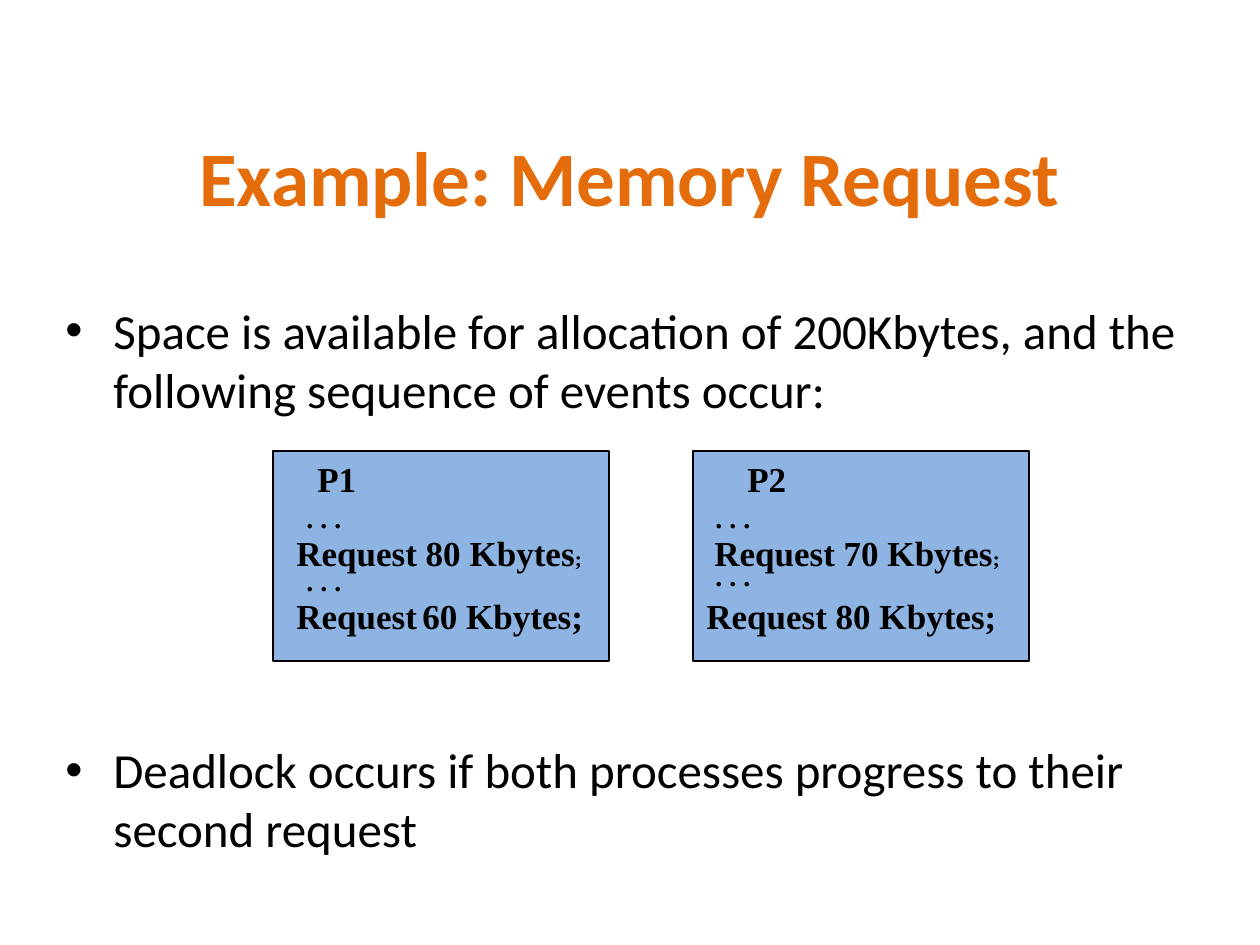
"""Build the memory request deadlock example slide."""
from lxml import etree
from pptx import Presentation
from pptx.dml.color import RGBColor
from pptx.enum.shapes import MSO_SHAPE
from pptx.enum.text import MSO_ANCHOR, PP_ALIGN
from pptx.oxml.ns import qn
from pptx.util import Pt

RECTANGLE = MSO_SHAPE.RECTANGLE
MIDDLE = MSO_ANCHOR.MIDDLE
CENTER = PP_ALIGN.CENTER
EMU_PER_PX = 914400 / 126
SERIF = "Times New Roman"
INDENT = 48


def px(length):
    return round(length * EMU_PER_PX)


def add_text(left, top, width, height, paragraphs, font, bold=True, color="000000"):
    frame = slide.shapes.add_textbox(px(left), px(top), px(width), px(height)).text_frame
    frame.word_wrap = True
    for index, runs in enumerate(paragraphs):
        paragraph = frame.add_paragraph() if index else frame.paragraphs[0]
        for text, size in runs:
            run = paragraph.add_run()
            run.text = text
            run.font.size = Pt(size)
            run.font.name = font
            run.font.bold = bold
            run.font.color.rgb = RGBColor.from_string(color)
    return frame


presentation = Presentation()
presentation.slide_width = px(1260)
presentation.slide_height = px(945)
slide = presentation.slides.add_slide(presentation.slide_layouts[6])

title = add_text(42, 84, 1176, 183, [[("Example: Memory Request", 44)]], "Calibri", color="E46C0A")
title.vertical_anchor = MIDDLE
title.paragraphs[0].alignment = CENTER

statements = [
    "Space is available for allocation of 200Kbytes, and the following sequence of events occur:",
    "Deadlock occurs if both processes progress to their second request",
]
body = add_text(53, 294, 1166, 651, [[(text, 28)] for text in statements], "Calibri", bold=False)
for statement in body.paragraphs:
    properties = statement._p.get_or_add_pPr()
    properties.set("marL", str(px(INDENT)))
    properties.set("indent", str(-px(INDENT)))
    etree.SubElement(properties, qn("a:buFont"), typeface="Arial")
    etree.SubElement(properties, qn("a:buChar"), char="•")
body.paragraphs[1].space_before = Pt(184)

ellipsis = [(". . .", 16)]
processes = [
    (273, [
        (305, 451, [("P1", 20)]),
        (294, 494, ellipsis),
        (284, 525, [("Request 80 Kbytes", 20), (";", 12)]),
        (294, 557, ellipsis),
        (284, 588, [("Request", 20), (" ", 12), ("60 Kbytes;", 20)]),
    ]),
    (693, [
        (735, 451, [("P2", 20)]),
        (703, 494, ellipsis),
        (702, 525, [("Request 70 Kbytes", 20), (";", 12)]),
        (703, 552, ellipsis),
        (694, 588, [("Request 80 Kbytes;", 20)]),
    ]),
]
for process_left, steps in processes:
    process = slide.shapes.add_shape(RECTANGLE, px(process_left), px(451), px(336), px(210))
    process.shadow.inherit = False
    process.fill.solid()
    process.fill.fore_color.rgb = RGBColor.from_string("8EB4E3")
    process.line.color.rgb = RGBColor.from_string("000000")
    process.line.width = Pt(1)
    for left, top, runs in steps:
        add_text(left, top, 325, 55, [runs], SERIF)

presentation.save("out.pptx")
